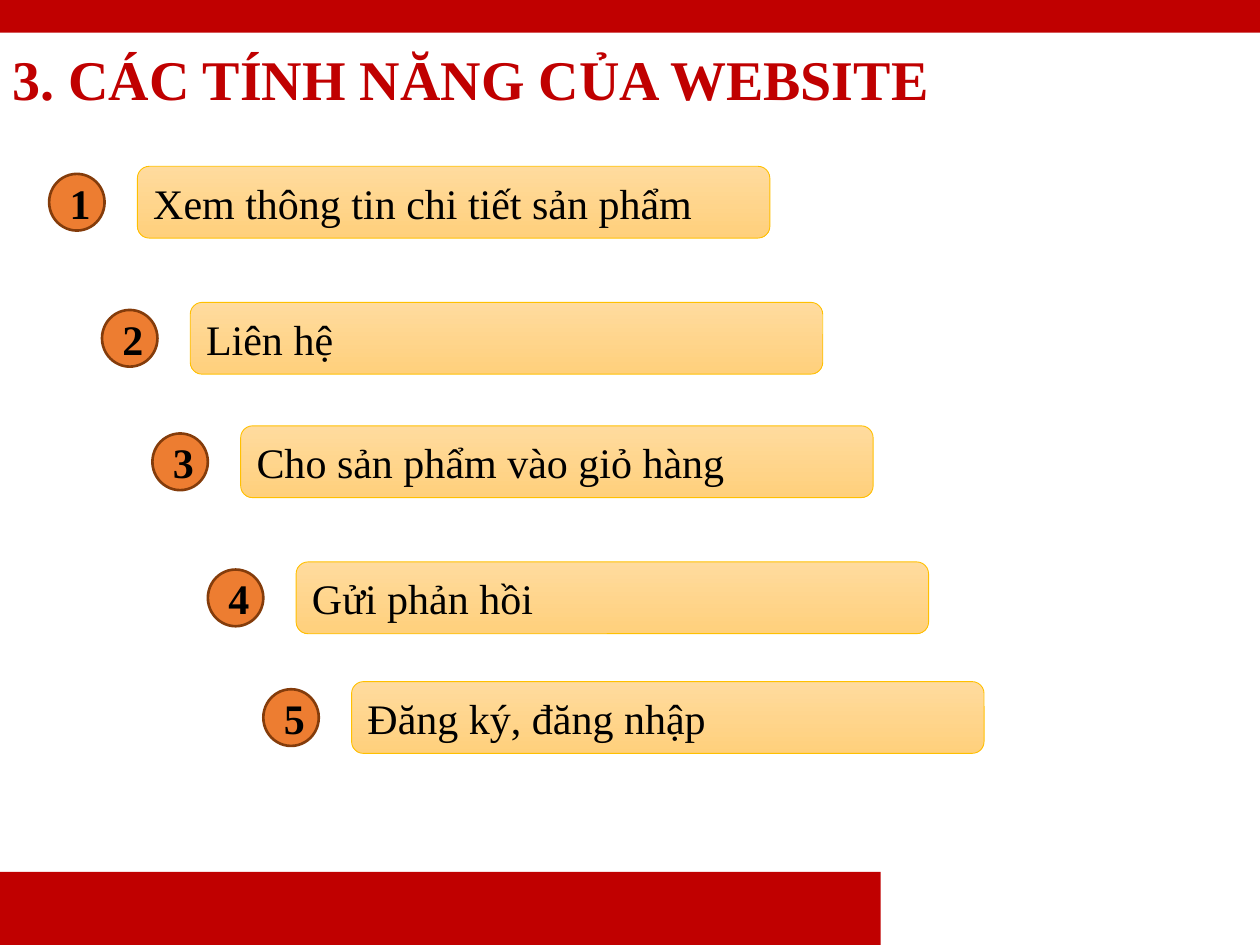
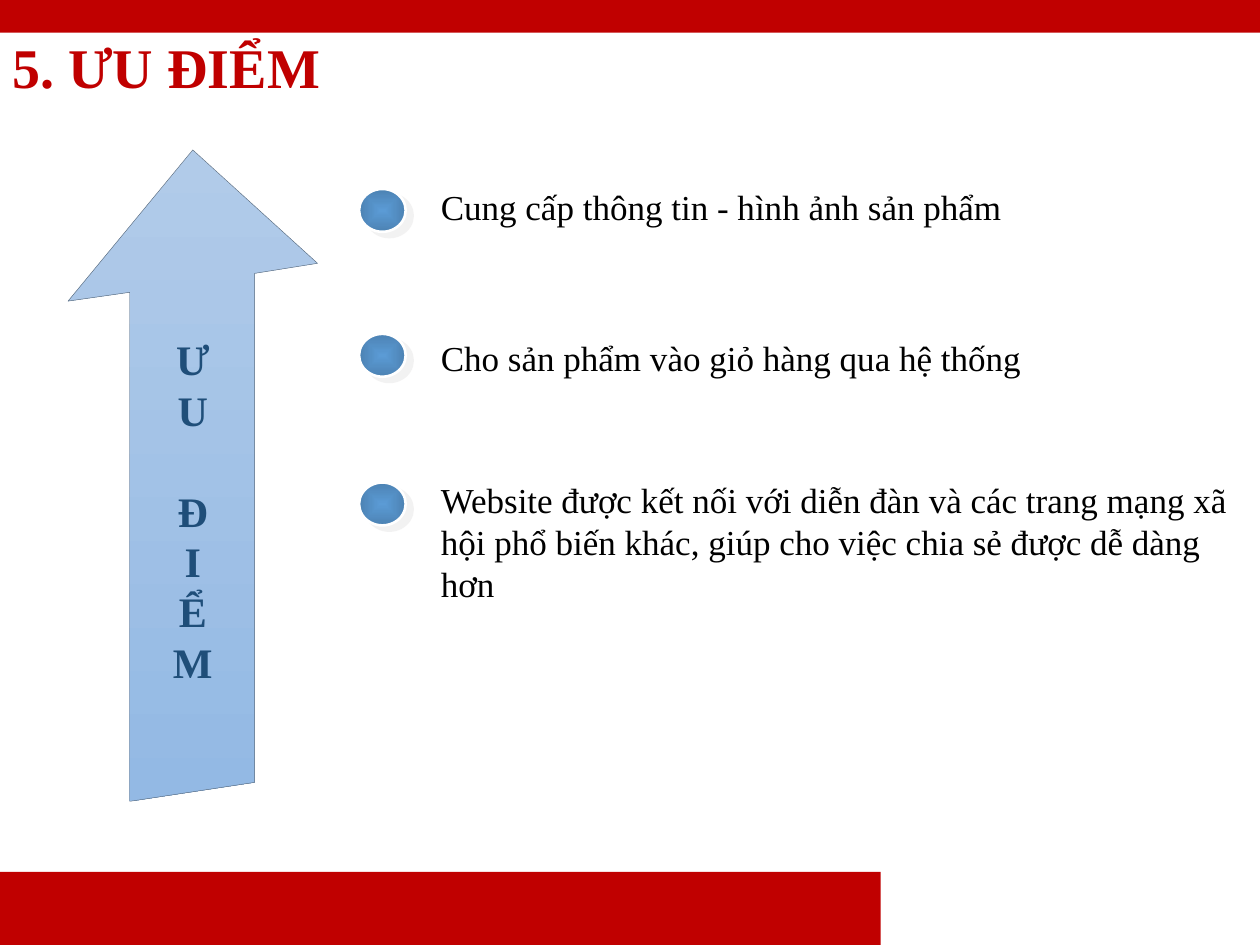
from lxml import etree
from pptx import Presentation
from pptx import util as u
from pptx.dml import color
from pptx.enum import shapes, text
from pptx.oxml import ns

FONT = "Times New Roman"
RED, BLACK, WHITE = "C00000", "000000", "FFFFFF"
KIND = shapes.MSO_SHAPE


def rgb(code):
    """Turn a hex string into a colour."""
    return color.RGBColor.from_string(code)


def write(shape, words, size=24, ink=BLACK, bold=False, align="LEFT",
          anchor="MIDDLE", space=None, gaps=()):
    """Write each line of words as a paragraph; gaps lists lines set apart."""
    frame = shape.text_frame
    frame.word_wrap = True
    frame.vertical_anchor = getattr(text.MSO_ANCHOR, anchor)
    for i, line in enumerate(words.split("\n")):
        para = frame.add_paragraph() if i else frame.paragraphs[0]
        para.alignment = getattr(text.PP_ALIGN, align)
        if space:
            para.line_spacing = space
        if i in gaps:
            para.space_before = u.Pt(size * 1.2)
        run = para.add_run()
        run.text = line
        run.font.name, run.font.size, run.font.bold = FONT, u.Pt(size), bold
        run.font.color.rgb = rgb(ink)
    return shape


class Deck:
    """Holds the style and the current slide."""

    def __init__(self):
        """Open an empty deck of 10 by 7.5 inches."""
        self.prs = Presentation()
        self.prs.slide_width, self.prs.slide_height = u.Inches(10), u.Inches(7.5)

    def start(self, title, top):
        """Add a slide with its two bands and its title."""
        self.slide = self.prs.slides.add_slide(self.prs.slide_layouts[6])
        self.shape(KIND.RECTANGLE, 0, 6.92, 6.99, 0.58, [RED])
        self.shape(KIND.RECTANGLE, 0, 0, 10, 0.26, [RED])
        self.label(title, 0, top, 9.1, 0.67, size=32, ink=RED, bold=True, space=0.9)

    def paint(self, shape, fills, line=None, width=0.5):
        """Fill with one colour or a downward blend, and set the outline."""
        shape.shadow.inherit = False
        if len(fills) == 1:
            shape.fill.solid()
            shape.fill.fore_color.rgb = rgb(fills[0])
        else:
            shape.fill.gradient()
            shape.fill.gradient_angle = 270
            for stop, place, code in zip(shape.fill.gradient_stops, (0, 1), fills):
                stop.position, stop.color.rgb = place, rgb(code)
        if line:
            shape.line.color.rgb, shape.line.width = rgb(line), u.Pt(width)
        else:
            shape.line.fill.background()
        return shape

    def shape(self, kind, left, top, wide, high, fills, line=None, width=0.5):
        """Add a painted preset shape."""
        box = map(u.Inches, (left, top, wide, high))
        item = self.slide.shapes.add_shape(kind, *box)
        return self.paint(item, fills, line, width)

    def label(self, words, left, top, wide, high, **style):
        """Add a text box."""
        box = map(u.Inches, (left, top, wide, high))
        return write(self.slide.shapes.add_textbox(*box), words, **style)

    def outline(self, points, fills, line, width):
        """Add a closed outline from points in hundredths of an inch."""
        pen = self.slide.shapes.build_freeform(*points[0], scale=u.Inches(0.01))
        pen.add_line_segments(points[1:], close=True)
        return self.paint(pen.convert_to_shape(), fills, line, width)

    def step(self, num, words, left, top):
        """Add a numbered circle and the bar beside it."""
        bar = self.shape(KIND.ROUNDED_RECTANGLE, left, top, 5.02, 0.57,
                         ["FFDB9E", "FFD07C"], "FFC000")
        write(bar, words)
        disc = self.shape(KIND.OVAL, left - 0.7, top + 0.06, 0.44, 0.45,
                          ["ED7D31"], "843C0B", 1.5)
        write(disc, str(num), bold=True, align="CENTER")

    def dot(self, left, top):
        """Add a ball that is lit from its centre and casts a soft shadow."""
        ball = self.shape(KIND.OVAL, left, top, 0.37, 0.34,
                          ["5B9BD5", "4C82B3"], WHITE, 1.5)
        props = ball._element.spPr
        lin = props.find(".//" + ns.qn("a:lin"))
        glow = etree.Element(ns.qn("a:path"), path="shape")
        etree.SubElement(glow, ns.qn("a:fillToRect"),
                         {side: "50000" for side in "ltrb"})
        lin.getparent().replace(lin, glow)
        cast = etree.SubElement(props.find(ns.qn("a:effectLst")), ns.qn("a:outerShdw"),
                                dist=str(u.Pt(5)), dir=str(37 * 60000))
        tint = etree.SubElement(cast, ns.qn("a:srgbClr"), val="E7E6E6")
        etree.SubElement(tint, ns.qn("a:alpha"), val="50000")


def main():
    """Build both slides and save them."""
    deck = Deck()

    deck.start("3. CÁC TÍNH NĂNG CỦA WEBSITE", 0.32)
    steps = [("Xem thông tin chi tiết sản phẩm", 1.09, 1.32),
             ("Liên hệ", 1.51, 2.4),
             ("Cho sản phẩm vào giỏ hàng", 1.91, 3.38),
             ("Gửi phản hồi", 2.35, 4.46),
             ("Đăng ký, đăng nhập", 2.79, 5.41)]
    for num, (words, left, top) in enumerate(steps, 1):
        deck.step(num, words, left, top)

    deck.start("5. ƯU ĐIỂM", 0.22)
    points = [(153, 119), (252, 209), (202, 217), (202, 621),
              (103, 636), (103, 232), (54, 239)]
    arrow = deck.outline(points, ["B1CBE9", "93B9E4"], "5F6F80", 0.25)
    arrow.text_frame.margin_top = u.Inches(0.6)
    write(arrow, "\n".join("ƯUĐIỂM"), ink="1F4E79", bold=True, align="CENTER", gaps=[2])
    gains = [("Cung cấp thông tin - hình ảnh sản phẩm", 1.42, 0.44, 1.5),
             ("Cho sản phẩm vào giỏ hàng qua hệ thống", 2.62, 0.44, 2.65),
             ("Website được kết nối với diễn đàn và các trang mạng xã hội phổ biến "
              "khác, giúp cho việc chia sẻ được dễ dàng hơn", 3.75, 1.11, 3.83)]
    for words, top, high, mark in gains:
        deck.label(words, 3.4, top, 6.6, high, size=20, anchor="TOP")
        deck.dot(2.85, mark)

    deck.prs.save("out.pptx")


if __name__ == "__main__":
    main()
